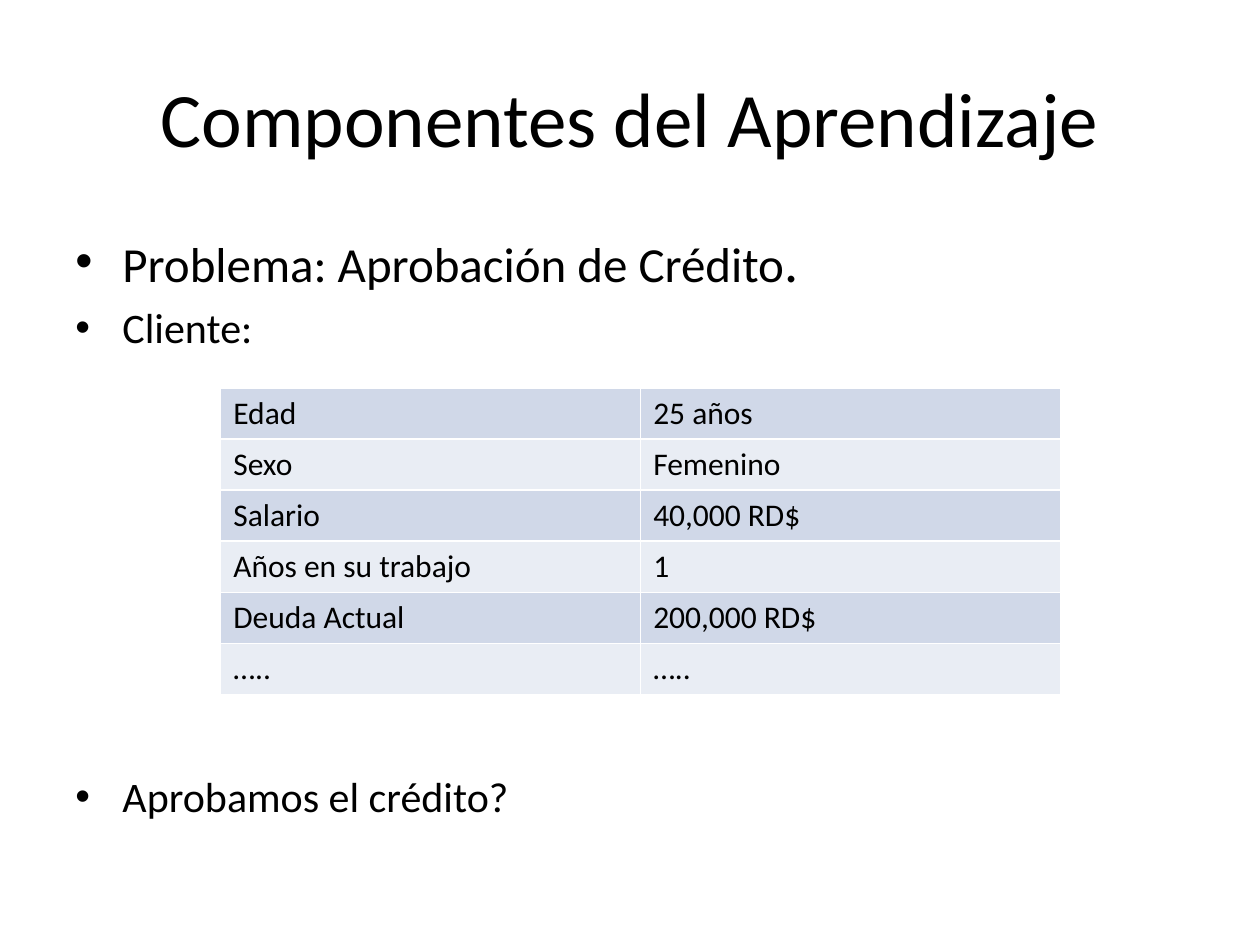
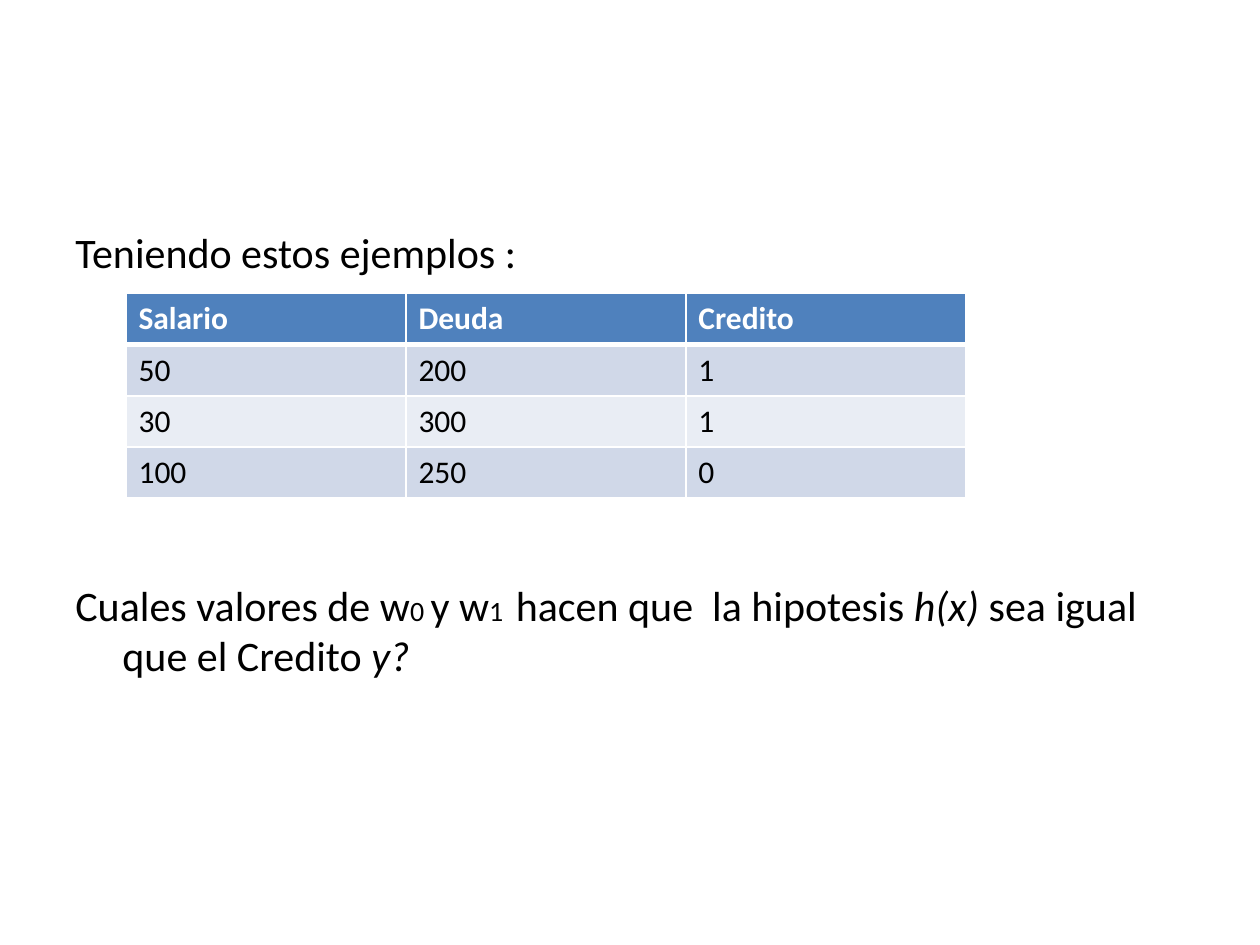
from dataclasses import dataclass

from lxml import etree
from pptx import Presentation
from pptx import util as u
from pptx.dml.color import RGBColor
from pptx.enum import text
from pptx.oxml import ns


@dataclass(frozen=True)
class Theme:
    font: str = "Calibri"
    ink: str = "000000"
    paper: str = "FFFFFF"
    header: str = "4F81BD"
    bands: tuple = ("D0D8E8", "E9EDF4")
    title: int = 44
    large: int = 32
    lead: int = 28
    body: int = 24
    cell: int = 18
    index: int = 16
    gap: float = 4.3
    rule: int = 1
    header_rule: int = 3


class Deck:
    """Builds slides in one theme, adding each element to the current slide."""

    def __init__(self, theme):
        self.theme = theme
        self.prs = Presentation()
        self.prs.slide_width, self.prs.slide_height = u.Cm(25.4), u.Cm(19.05)
        self.s = None

    def slide(self):
        self.s = self.prs.slides.add_slide(self.prs.slide_layouts[6])

    def style(self, r, size, color=None, bold=False, italic=False):
        f = r.font
        f.name, f.size, f.bold, f.italic = self.theme.font, u.Pt(size), bold, italic
        f.color.rgb = RGBColor.from_string(color or self.theme.ink)

    def box(self, top, height):
        sp = self.s.shapes.add_textbox(u.Cm(1.27), u.Cm(top), u.Cm(22.86), u.Cm(height))
        sp.text_frame.word_wrap = True
        return sp.text_frame

    def title(self, words):
        tf = self.box(0.76, 3.18)
        tf.vertical_anchor = text.MSO_ANCHOR.MIDDLE
        p = tf.paragraphs[0]
        p.text = words
        p.alignment = text.PP_ALIGN.CENTER
        self.style(p.runs[0], self.theme.title)

    def body(self, paragraphs, bullet=None):
        tf = self.box(4.45, 12.57)
        for i, (before, runs) in enumerate(paragraphs):
            p = tf.add_paragraph() if i else tf.paragraphs[0]
            p.space_before = u.Pt(before)
            pPr = p._p.get_or_add_pPr()
            pPr.set("marL", str(u.Cm(0.95)))
            pPr.set("indent", str(-u.Cm(0.95)))
            if bullet:
                font = etree.SubElement(pPr, ns.qn("a:buFont"))
                font.set("typeface", "Arial")
                etree.SubElement(pPr, ns.qn("a:buChar")).set("char", bullet)
            else:
                etree.SubElement(pPr, ns.qn("a:buNone"))
            for words, size, italic in runs:
                r = p.add_run()
                r.text = words
                self.style(r, size, italic=italic)

    def borders(self, cell, top, bottom):
        tcPr = cell._tc.get_or_add_tcPr()
        side = self.theme.rule
        for edge, width in zip("LRTB", (side, side, top, bottom)):
            ln = etree.SubElement(tcPr, ns.qn(f"a:ln{edge}"), w=str(u.Pt(width)))
            fill = etree.SubElement(ln, ns.qn("a:solidFill"))
            etree.SubElement(fill, ns.qn("a:srgbClr"), val=self.theme.paper)

    def table(self, left, top, rows, header=False):
        t, width, height = self.theme, 16.93, 1.03
        n = len(rows[0])
        frame = self.s.shapes.add_table(len(rows), n, u.Cm(left), u.Cm(top),
                                        u.Cm(width), u.Cm(height * len(rows)))
        tbl = frame.table
        tbl.first_row, tbl.horz_banding = header, False
        for i, row in enumerate(rows):
            head = header and i == 0
            above = t.header_rule if header and i == 1 else t.rule
            below = t.header_rule if head else t.rule
            fill = t.header if head else t.bands[(i - header) % 2]
            for j, words in enumerate(row):
                cell = tbl.cell(i, j)
                self.borders(cell, above, below)
                cell.fill.solid()
                cell.fill.fore_color.rgb = RGBColor.from_string(fill)
                cell.text = words
                self.style(cell.text_frame.paragraphs[0].runs[0], t.cell,
                           t.paper if head else t.ink, bold=head)


def credit_problem(deck):
    t = deck.theme
    deck.slide()
    deck.title("Componentes del Aprendizaje")
    deck.body([
        (0, [("Problema: Aprobación de Crédito", t.lead, False), (".", t.large, False)]),
        (t.gap, [("Cliente:", t.body, False)]),
        (239.3, [("Aprobamos el crédito?", t.body, False)]),
    ], bullet="•")
    deck.table(4.45, 7.82, [
        ("Edad", "25 años"),
        ("Sexo", "Femenino"),
        ("Salario", "40,000 RD$"),
        ("Años en su trabajo", "1"),
        ("Deuda Actual", "200,000 RD$"),
        ("…..", "….."),
    ])


def credit_examples(deck):
    t = deck.theme
    deck.slide()
    deck.body([
        (0, [("Teniendo estos ejemplos :", t.body, False)]),
        (172.4, [
            ("Cuales valores de w", t.body, False),
            ("0 ", t.index, False),
            ("y w", t.body, False),
            ("1  ", t.index, False),
            ("hacen que  la hipotesis ", t.body, False),
            ("h(x)", t.body, True),
            (" sea igual que el Credito ", t.body, False),
            ("y?", t.body, True),
        ]),
    ])
    deck.table(2.54, 5.92, [
        ("Salario", "Deuda", "Credito"),
        ("50", "200", "1"),
        ("30", "300", "1"),
        ("100", "250", "0"),
    ], header=True)


def main():
    deck = Deck(Theme())
    credit_problem(deck)
    credit_examples(deck)
    deck.prs.save("out.pptx")


if __name__ == "__main__":
    main()
